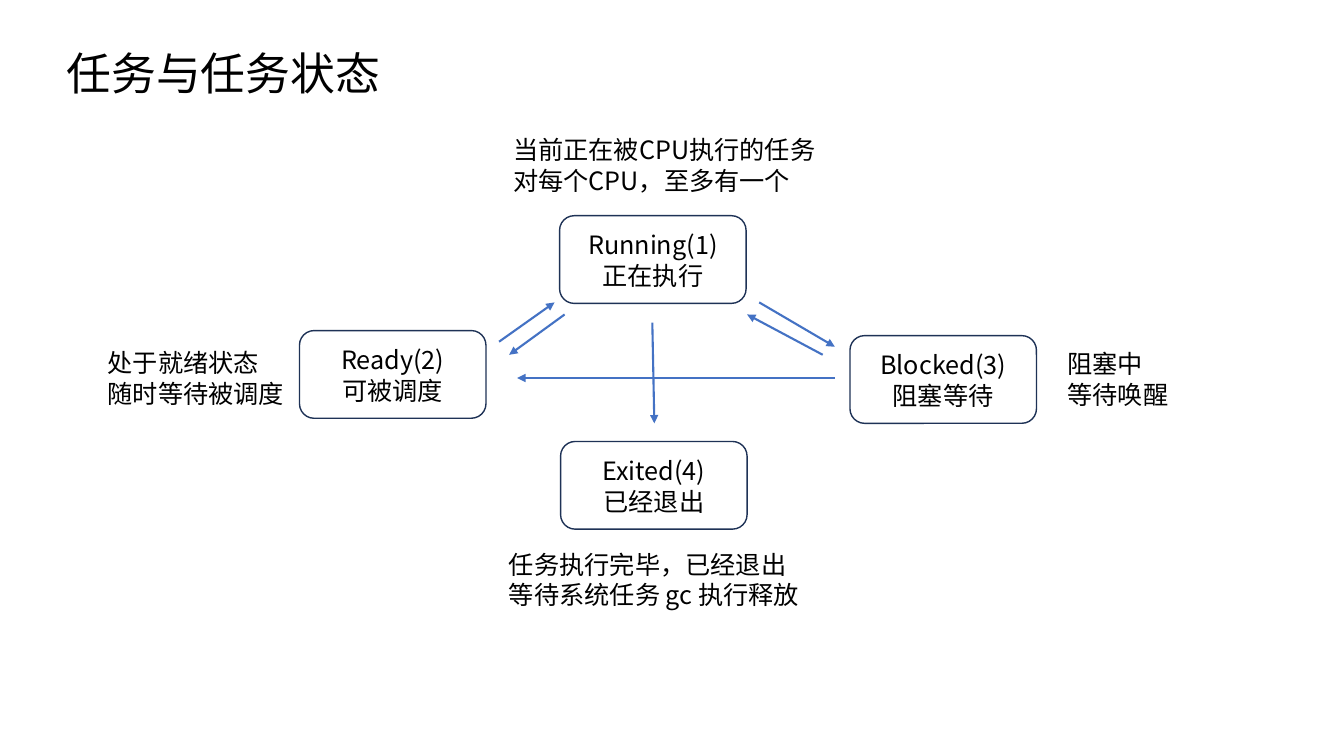
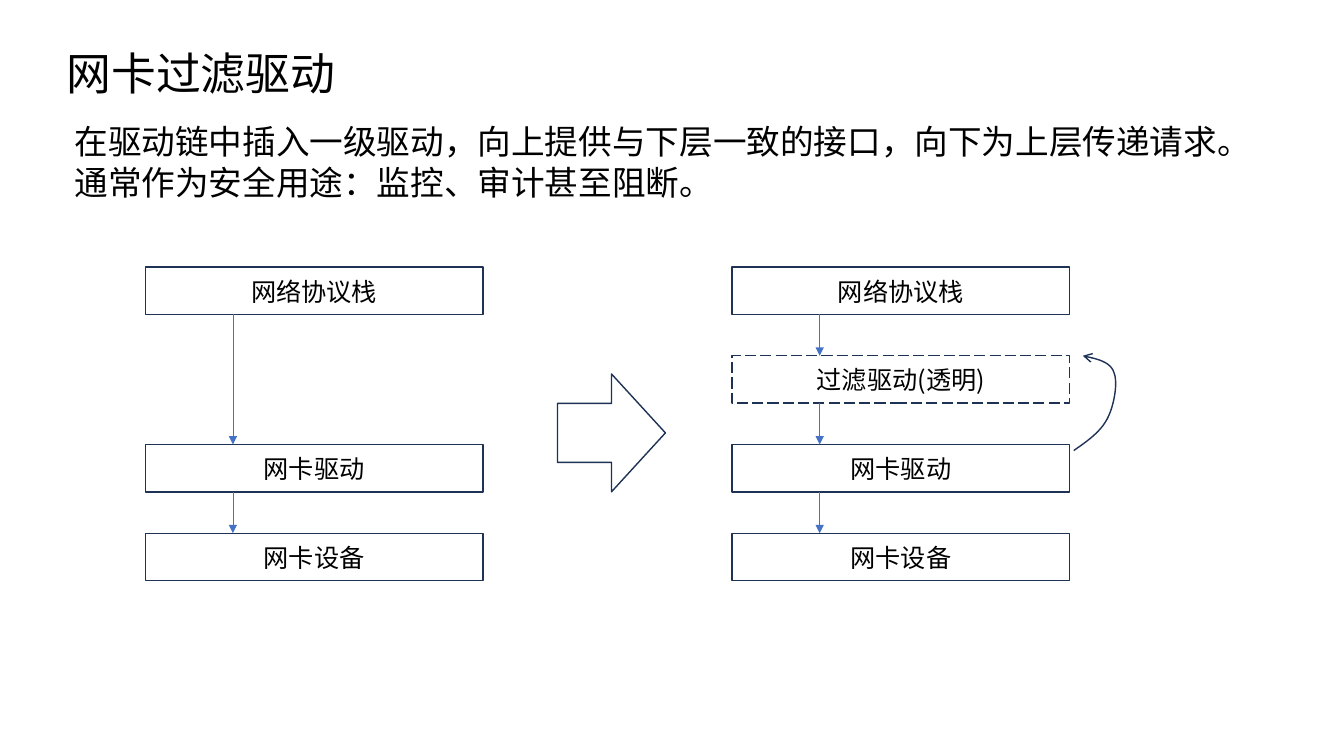
import pptx
import pptx.dml.color
import pptx.enum.dml
import pptx.enum.shapes
import pptx.enum.text
import pptx.oxml.ns
import pptx.oxml.xmlchemy
import pptx.util

Inches = pptx.util.Inches
SHAPE = pptx.enum.shapes.MSO_SHAPE
ANCHOR = pptx.enum.text.MSO_ANCHOR
ALIGN = pptx.enum.text.PP_ALIGN
COLORS = {"text": "000000", "fill": "FFFFFF", "outline": "1E3256", "arrow": "4472C4"}
FONT = "Noto Sans CJK SC"
LINE_HEIGHT = 1.22
TITLE_BOX = (0.56, 0.4, 10.9, 0.64)
LABEL_FRAME = {
    "word_wrap": True,
    "vertical_anchor": ANCHOR.TOP,
    "auto_size": pptx.enum.text.MSO_AUTO_SIZE.SHAPE_TO_FIT_TEXT,
}
NODE_FRAME = {"word_wrap": True, "vertical_anchor": ANCHOR.MIDDLE}


def set_attributes(target, values):
    """Set each named attribute of the target."""
    for name, value in values.items():
        setattr(target, name, value)


def color(name):
    """Return a palette colour."""
    return pptx.dml.color.RGBColor.from_string(COLORS[name])


def new_element(tag):
    """Return an empty XML element."""
    return pptx.oxml.xmlchemy.OxmlElement(tag)


def write_text(shape, lines, size, alignment, frame_format):
    """Write one formatted paragraph for each line."""
    frame = shape.text_frame
    set_attributes(frame, frame_format)
    frame.text = "\n".join(lines)
    for paragraph in frame.paragraphs:
        set_attributes(paragraph, {
            "alignment": alignment,
            "line_spacing": pptx.util.Pt(round(size * LINE_HEIGHT)),
            "space_before": pptx.util.Pt(0),
        })
        for run in paragraph.runs:
            set_attributes(run.font, {"name": FONT, "size": pptx.util.Pt(size)})
            run.font.color.rgb = color("text")
            east_asian = new_element("a:ea")
            east_asian.set("typeface", FONT)
            latin = run.font._element.find(pptx.oxml.ns.qn("a:latin"))
            latin.addnext(east_asian)


def set_line(shape, color_name, width, dash=None, arrowhead=None):
    """Format an outline, with an optional dash and arrowhead."""
    shape.line.color.rgb = color(color_name)
    shape.line.width = pptx.util.Pt(width)
    if dash:
        shape.line.dash_style = dash
    if arrowhead:
        tail = new_element("a:tailEnd")
        tail.set("type", arrowhead)
        shape._element.spPr.find(pptx.oxml.ns.qn("a:ln")).append(tail)


def add_label(shapes, box, lines, size=18):
    """Add a left-aligned text box."""
    label = shapes.add_textbox(*map(Inches, box))
    write_text(label, lines, size, ALIGN.LEFT, LABEL_FRAME)


def add_node(shapes, kind, box, lines=(), dash=None):
    """Add an outlined shape with centred text."""
    node = shapes.add_shape(kind, *map(Inches, box))
    node.shadow.inherit = False
    node.fill.solid()
    node.fill.fore_color.rgb = color("fill")
    set_line(node, "outline", 1, dash)
    if lines:
        write_text(node, lines, 18, ALIGN.CENTER, NODE_FRAME)


def add_arrow(shapes, start, end, width):
    """Add a straight arrow between two points."""
    arrow = shapes.add_connector(
        pptx.enum.shapes.MSO_CONNECTOR.STRAIGHT, *map(Inches, (*start, *end)))
    set_line(arrow, "arrow", width, arrowhead="triangle")
    arrow._element.spPr.append(new_element("a:effectLst"))


def bezier_points(start, first, second, end, steps=12):
    """Return points along a cubic curve, without its start."""
    points = []
    for step in range(1, steps + 1):
        t = step / steps
        weights = ((1 - t) ** 3, 3 * t * (1 - t) ** 2, 3 * t ** 2 * (1 - t), t ** 3)
        points.append(tuple(
            sum(weight * value for weight, value in zip(weights, values))
            for values in zip(start, first, second, end)))
    return points


def add_return_curve(shapes, left, top):
    """Add the curved arrow that leads back up to the filter layer."""
    curve = [(0, 0.94), (0.13, 0.85), (0.26, 0.76), (0.33, 0.63),
             (0.4, 0.5), (0.44, 0.27), (0.4, 0.17),
             (0.37, 0.06), (0.23, 0.03), (0.09, 0)]
    curve = [(left + x, top + y) for x, y in curve]
    points = []
    for index in range(0, len(curve) - 1, 3):
        points += bezier_points(*curve[index:index + 4])
    builder = shapes.build_freeform(Inches(curve[0][0]), Inches(curve[0][1]))
    builder.add_line_segments([(Inches(x), Inches(y)) for x, y in points], close=False)
    shape = builder.convert_to_shape()
    shape.shadow.inherit = False
    shape.fill.background()
    set_line(shape, "outline", 1, arrowhead="arrow")


def add_titled_slide(presentation, title):
    """Add a title-only slide with the shared title style."""
    slide = presentation.slides.add_slide(presentation.slide_layouts[5])
    bounds = zip(("left", "top", "width", "height"), map(Inches, TITLE_BOX))
    set_attributes(slide.shapes.title, dict(bounds))
    write_text(slide.shapes.title, [title], 32, ALIGN.LEFT, LABEL_FRAME)
    return slide


def add_state_diagram(shapes, left, top):
    """Add the task states, their transitions and their notes."""
    states = [
        (4.58, 0.86, "Running(1)", "正在执行"),
        (4.59, 3.1, "Exited(4)", "已经退出"),
        (2, 2, "Ready(2)", "可被调度"),
        (7.46, 2.05, "Blocked(3)", "阻塞等待"),
    ]
    for x, y, *lines in states:
        add_node(shapes, SHAPE.ROUNDED_RECTANGLE, (left + x, top + y, 1.85, 0.87), lines)
    transitions = [
        ((5.5, 1.92), (5.52, 2.92)),
        ((6.56, 1.72), (7.31, 2.16)),
        ((3.98, 2.11), (4.53, 1.72)),
        ((4.63, 1.84), (4.08, 2.24)),
        ((7.19, 2.24), (6.44, 1.84)),
        ((7.31, 2.47), (4.16, 2.47)),
    ]
    for transition in transitions:
        start, end = [(left + x, top + y) for x, y in transition]
        add_arrow(shapes, start, end, 1.5)
    notes = [
        (4.02, 0, 3.27, "当前正在被CPU执行的任务", "对每个CPU，至多有一个"),
        (3.98, 4.11, 3.27, "任务执行完毕，已经退出", "等待系统任务 gc 执行释放"),
        (9.52, 2.12, 1.34, "阻塞中", "等待唤醒"),
        (0, 2.11, 2.07, "处于就绪状态", "随时等待被调度"),
    ]
    for x, y, width, *lines in notes:
        add_label(shapes, (left + x, top + y, width, 0.71), lines)


def add_driver_stack(shapes, left, top, layers):
    """Add a driver stack, with an arrow from each layer to the next."""
    width, height, pitch, arrow_offset = 3.35, 0.47, 0.88, 0.87
    for row, name, dash in layers:
        add_node(shapes, SHAPE.RECTANGLE,
                 (left, top + row * pitch, width, height), [name], dash)
    x = left + arrow_offset
    for upper, lower in zip(layers, layers[1:]):
        add_arrow(shapes, (x, top + upper[0] * pitch + height),
                  (x, top + lower[0] * pitch), 0.5)


def build_task_slide(presentation):
    """Build the task state slide."""
    slide = add_titled_slide(presentation, "任务与任务状态")
    add_state_diagram(slide.shapes.add_group_shape().shapes, 0.97, 1.28)


def build_filter_slide(presentation):
    """Build the slide that compares the stacks without and with a filter."""
    slide = add_titled_slide(presentation, "网卡过滤驱动")
    add_label(slide.shapes, (0.64, 1.15, 12.05, 0.91), [
        "在驱动链中插入一级驱动，向上提供与下层一致的接口，向下为上层传递请求。",
        "通常作为安全用途：监控、审计甚至阻断。",
    ], 24)
    plain = [(0, "网络协议栈", None), (2, "网卡驱动", None), (3, "网卡设备", None)]
    filter_layer = (1, "过滤驱动(透明)", pptx.enum.dml.MSO_LINE.LONG_DASH)
    stack_top = 2.65
    add_driver_stack(slide.shapes, 1.44, stack_top, plain)
    add_driver_stack(slide.shapes, 7.26, stack_top, [plain[0], filter_layer, *plain[1:]])
    add_node(slide.shapes, SHAPE.RIGHT_ARROW, (5.53, 3.71, 1.07, 1.17))
    add_return_curve(slide.shapes, 10.65, 3.53)


def main():
    """Build and save the presentation."""
    presentation = pptx.Presentation()
    presentation.slide_width = Inches(13.33)
    presentation.slide_height = Inches(7.5)
    build_task_slide(presentation)
    build_filter_slide(presentation)
    presentation.save("out.pptx")


if __name__ == "__main__":
    main()
